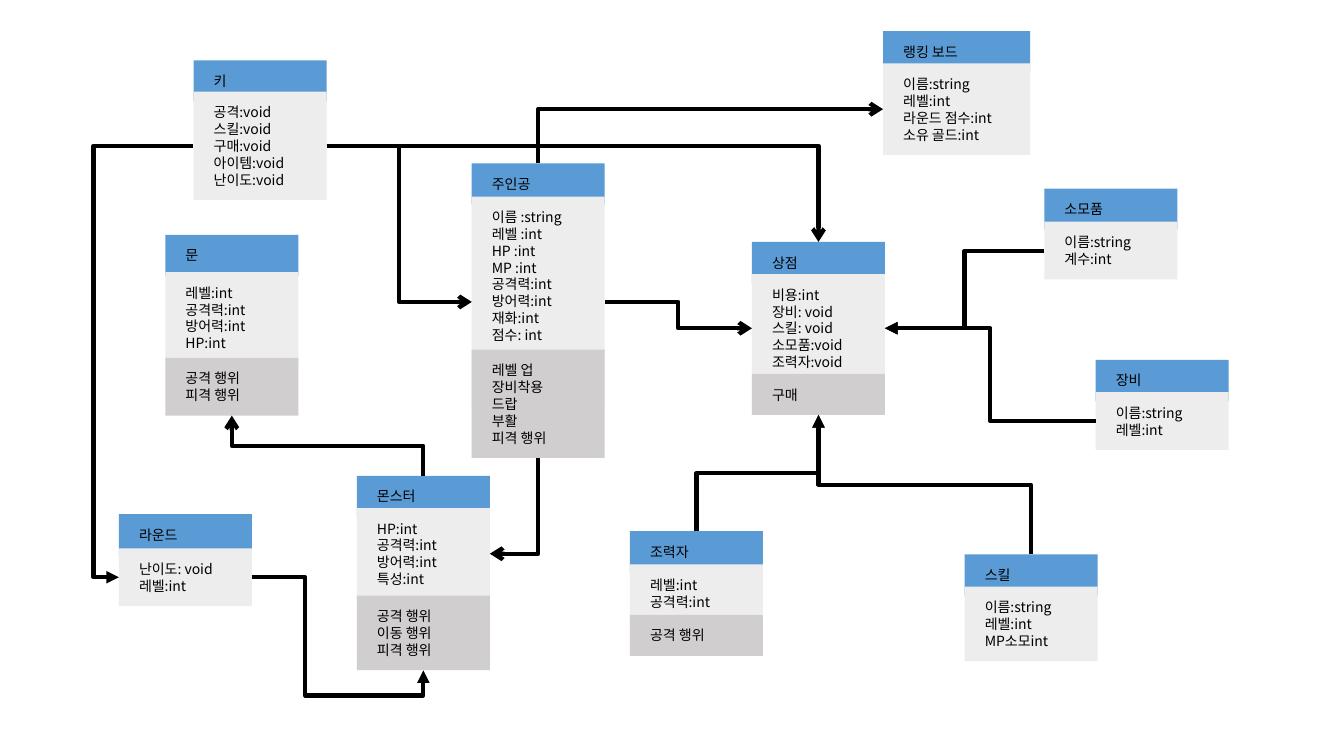
"""Build a one-slide class diagram of a game."""
from lxml import etree
from pptx import Presentation
from pptx.dml.color import RGBColor
from pptx.enum.shapes import MSO_CONNECTOR, MSO_SHAPE
from pptx.enum.text import MSO_ANCHOR, MSO_AUTO_SIZE, PP_ALIGN
from pptx.oxml.ns import qn
from pptx.util import Inches, Pt

RECTANGLE = MSO_SHAPE.RECTANGLE
ELBOW = MSO_CONNECTOR.ELBOW
TOP = MSO_ANCHOR.TOP
LEFT = PP_ALIGN.LEFT
FIXED = MSO_AUTO_SIZE.NONE

COLORS = {"title": "5B9BD5", "fields": "EDEDED", "actions": "D0CECE", "ink": "000000"}
FONT = "Noto Sans CJK KR"
COLUMNS, ROWS = 80, 45
BOX_WIDTH = 7.92
PADDING = 0.72
FRAME_FORMAT = {
    "margin_left": Inches(0.2), "margin_right": Inches(0.2),
    "margin_top": Inches(0.12), "margin_bottom": Inches(0.12),
    "word_wrap": True, "auto_size": FIXED, "vertical_anchor": TOP,
}
FONT_FORMAT = {"name": FONT, "size": Pt(10)}


class Diagram:
    """Hold the style, the current page and the anchor points of each class."""

    def __init__(self, deck):
        """Add a blank page and work out the grid cell."""
        self.page = deck.slides.add_slide(deck.slide_layouts[6])
        self.column = deck.slide_width / COLUMNS
        self.row = deck.slide_height / ROWS
        self.anchors = {}

    def color(self, name):
        """Return a palette colour."""
        return RGBColor.from_string(COLORS[name])

    def section(self, kind, left, top, width, height, lines):
        """Draw one filled box with a paragraph for each line."""
        box = self.page.shapes.add_shape(
            RECTANGLE, round(left * self.column), round(top * self.row),
            round(width * self.column), round(height * self.row))
        box.shadow.inherit = False
        box.fill.solid()
        box.fill.fore_color.rgb = self.color(kind)
        box.line.fill.background()
        frame = box.text_frame
        for key, value in FRAME_FORMAT.items():
            setattr(frame, key, value)
        for index, line in enumerate(lines):
            para = frame.add_paragraph() if index else frame.paragraphs[0]
            para.alignment = LEFT
            span = para.add_run()
            span.text = line
            for key, value in FONT_FORMAT.items():
                setattr(span.font, key, value)
            span.font.color.rgb = self.color("ink")
            etree.SubElement(span.font._element, qn("a:ea"), typeface=FONT)

    def entity(self, name, left, tops, fields, actions=(), width=BOX_WIDTH, fields_height=None):
        """Draw a class as stacked sections and record its side anchors."""
        sections = zip(("title", "fields", "actions"), tops, ([name], fields, actions))
        for kind, top, lines in sections:
            height = len(lines) + 2 * PADDING
            if kind == "fields":
                height = fields_height or height
                middle = top + height / 2
            self.section(kind, left, top, width, height, lines)
        center = left + width / 2
        self.anchors[name] = {
            "left": (left, middle), "right": (left + width, middle),
            "top": (center, tops[0]), "bottom": (center, top + height),
        }

    def link(self, source, source_side, target, target_side, head, bends=(0.5,)):
        """Join two classes with a bent arrow that leaves square to the source side."""
        x1, y1 = self.anchors[source][source_side]
        x2, y2 = self.anchors[target][target_side]
        x1, x2 = x1 * self.column, x2 * self.column
        y1, y2 = y1 * self.row, y2 * self.row
        vertical = source_side in ("top", "bottom")
        across, down = (y2 - y1, x1 - x2) if vertical else (x2 - x1, y2 - y1)
        middle_x, middle_y = (x1 + x2) / 2, (y1 + y2) / 2
        arrow = self.page.shapes.add_connector(
            ELBOW, round(middle_x - across / 2), round(middle_y - down / 2),
            round(middle_x + across / 2), round(middle_y + down / 2))
        if vertical:
            arrow.rotation = 90
        arrow.line.width = Pt(3)
        arrow.line.color.rgb = self.color("ink")
        properties = arrow._element.spPr
        geometry = properties.find(qn("a:prstGeom"))
        geometry.set("prst", f"bentConnector{len(bends) + 2}")
        guides = geometry.find(qn("a:avLst"))
        if guides is None:
            guides = etree.SubElement(geometry, qn("a:avLst"))
        for number, bend in enumerate(bends, 1):
            etree.SubElement(guides, qn("a:gd"), name=f"adj{number}",
                             fmla=f"val {round(bend * 100000)}")
        etree.SubElement(properties.find(qn("a:ln")), qn("a:tailEnd"), type=head)
        etree.SubElement(properties, qn("a:effectLst"))


deck = Presentation()
deck.slide_width, deck.slide_height = Inches(13.33), Inches(7.5)
diagram = Diagram(deck)

diagram.entity("키", 11.52, (3.6, 5.46),
               ["공격:void", "스킬:void", "구매:void", "아이템:void", "난이도:void"])
diagram.entity("스킬", 57.42, (33, 34.92), ["이름:string", "레벨:int", "MP소모int"])
diagram.entity("랭킹 보드", 52.56, (1.86, 3.78),
               ["이름:string", "레벨:int", "라운드 점수:int", "소유 골드:int"], width=8.76)
diagram.entity("소모품", 62.16, (11.22, 13.2), ["이름:string", "계수:int"])
diagram.entity("장비", 65.22, (21.42, 23.34), ["이름:string", "레벨:int"])
diagram.entity("주인공", 28.08, (9.72, 11.7, 20.82),
               ["이름 :string", "레벨 :int", "HP :int", "MP :int",
                "공격력:int", "방어력:int", "재화:int", "점수: int"],
               ["레벨 업", "장비착용", "드랍", "부활", "피격 행위"], fields_height=12.54)
diagram.entity("문", 9.84, (13.98, 16.2, 21.3),
               ["레벨:int", "공격력:int", "방어력:int", "HP:int"], ["공격 행위", "피격 행위"])
diagram.entity("상점", 44.76, (14.4, 16.32, 22.26),
               ["비용:int", "장비: void", "스킬: void", "소모품:void", "조력자:void"], ["구매"])
diagram.entity("조력자", 37.5, (31.62, 33.6, 36.6), ["레벨:int", "공격력:int"], ["공격 행위"])
diagram.entity("몬스터", 21.24, (28.32, 30.24, 35.46),
               ["HP:int", "공격력:int", "방어력:int", "특성:int"],
               ["공격 행위", "이동 행위", "피격 행위"])
diagram.entity("라운드", 7.08, (30.6, 32.64), ["난이도: void", "레벨:int"])

LINKS = [
    ("몬스터", "top", "문", "bottom", "arrow"),
    ("조력자", "top", "상점", "bottom", "triangle"),
    ("소모품", "left", "상점", "right", "triangle"),
    ("스킬", "top", "상점", "bottom", "triangle"),
    ("주인공", "right", "상점", "left", "arrow"),
    ("주인공", "bottom", "몬스터", "right", "arrow", ()),
    ("주인공", "top", "랭킹 보드", "left", "arrow", ()),
    ("키", "right", "주인공", "left", "arrow"),
    ("장비", "left", "상점", "right", "triangle"),
    ("키", "right", "상점", "top", "arrow", ()),
    ("키", "left", "라운드", "left", "triangle", (1.34,)),
    ("라운드", "right", "몬스터", "bottom", "triangle", (0.31, 1.27)),
]
for link in LINKS:
    diagram.link(*link)

deck.save("out.pptx")
